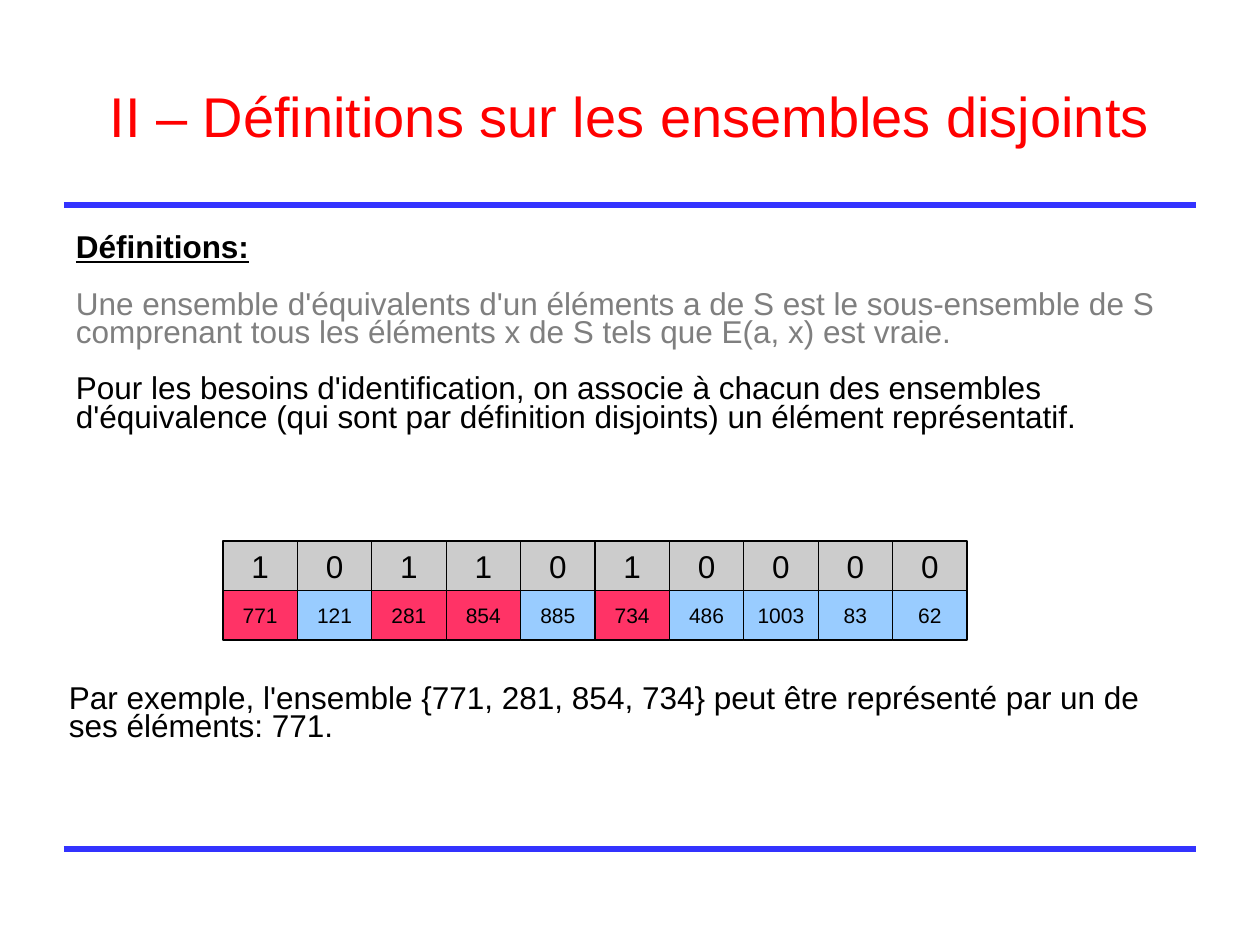
from typing import NamedTuple

from lxml import etree
from pptx import Presentation
from pptx import util as u
from pptx.dml.color import RGBColor
from pptx.enum import shapes, text
from pptx.oxml import ns

SCALE = 914400 / 126  # EMU per px
FONT = "Arial"

BLACK = RGBColor(0x00, 0x00, 0x00)
GREY = RGBColor(0x7F, 0x7F, 0x7F)
RED = RGBColor(0xFF, 0x00, 0x00)
RULE_BLUE = RGBColor(0x33, 0x33, 0xFF)
FLAG_GREY = RGBColor(0xCC, 0xCC, 0xCC)
MEMBER_PINK = RGBColor(0xFF, 0x33, 0x66)
OTHER_BLUE = RGBColor(0x99, 0xCC, 0xFF)


class Box(NamedTuple):
    left: int
    top: int
    width: int
    height: int


class Insets(NamedTuple):
    left: int
    top: int
    right: int
    bottom: int


class Passage(NamedTuple):
    wording: str
    color: RGBColor = BLACK
    heading: bool = False


class Element(NamedTuple):
    flag: int
    value: int


TITLE_BOX = Box(63, 38, 1134, 157)
DEFINITION_BOX = Box(63, 220, 1134, 306)
EXAMPLE_BOX = Box(69, 677, 1121, 166)
GRID = Box(223, 541, 744, 99)
CELL_INSETS = Insets(13, 6, 13, 6)
RULE_LEFT, RULE_RIGHT = 64, 1196
RULE_TOPS = (849, 205)

DEFINITIONS = [
    Passage("Définitions:", heading=True),
    Passage("Une ensemble d'équivalents d'un éléments a de S est le sous-ensemble de S "
            "comprenant tous les éléments x de S tels que E(a, x) est vraie.", GREY),
    Passage("Pour les besoins d'identification, on associe à chacun des ensembles "
            "d'équivalence (qui sont par définition disjoints) un élément représentatif."),
]
EXAMPLE = [
    Passage("Par exemple, l'ensemble {771, 281, 854, 734} peut être représenté par un de "
            "ses éléments: 771."),
]
ELEMENTS = [
    Element(1, 771), Element(0, 121), Element(1, 281), Element(1, 854), Element(0, 885),
    Element(1, 734), Element(0, 486), Element(0, 1003), Element(0, 83), Element(0, 62),
]


def px(length: float) -> u.Emu:
    return u.Emu(round(length * SCALE))


def place(shape, box: Box) -> None:
    shape.left, shape.top, shape.width, shape.height = map(px, box)


def set_frame(frame, insets: Insets, anchor, wrap: bool = True) -> None:
    frame.auto_size = text.MSO_AUTO_SIZE.NONE
    frame.word_wrap = wrap
    frame.vertical_anchor = anchor
    frame.margin_left, frame.margin_top, frame.margin_right, frame.margin_bottom = map(px, insets)


def add_run(paragraph, wording: str, size: int, color: RGBColor):
    run = paragraph.add_run()
    run.text = wording
    run.font.name = FONT
    run.font.size = u.Pt(size)
    run.font.color.rgb = color
    return run


def add_rule(slide, top: int) -> None:
    rule = slide.shapes.add_connector(
        shapes.MSO_CONNECTOR.STRAIGHT, px(RULE_LEFT), px(top), px(RULE_RIGHT), px(top))
    rule.line.color.rgb = RULE_BLUE
    rule.line.width = u.Pt(3)
    etree.SubElement(rule._element.spPr, ns.qn("a:effectLst"))


def set_title(slide, wording: str) -> None:
    title = slide.shapes.title
    place(title, TITLE_BOX)
    set_frame(title.text_frame, Insets(13, 10, 13, 6), text.MSO_ANCHOR.MIDDLE)
    paragraph = title.text_frame.paragraphs[0]
    paragraph.alignment = text.PP_ALIGN.CENTER
    paragraph.line_spacing = 0.93
    add_run(paragraph, wording, 32, RED)


def add_passages(slide, box: Box, insets: Insets, passages: list[Passage]) -> None:
    frame = slide.shapes.add_textbox(*map(px, box)).text_frame
    set_frame(frame, insets, text.MSO_ANCHOR.TOP)
    for index, passage in enumerate(passages):
        paragraph = frame.add_paragraph() if index else frame.paragraphs[0]
        paragraph.line_spacing = 0.75
        paragraph.space_before = u.Pt(16 if index else 0)
        run = add_run(paragraph, passage.wording, 18, passage.color)
        run.font.bold = run.font.underline = passage.heading


def add_cell(slide, box: Box, wording: str, size: int, fill: RGBColor) -> None:
    cell = slide.shapes.add_shape(shapes.MSO_SHAPE.ROUNDED_RECTANGLE, *map(px, box))
    cell.adjustments[0] = 0
    cell.shadow.inherit = False
    cell.fill.solid()
    cell.fill.fore_color.rgb = fill
    cell.line.color.rgb = BLACK
    cell.line.width = u.Pt(0.75)
    set_frame(cell.text_frame, CELL_INSETS, text.MSO_ANCHOR.MIDDLE, wrap=False)
    paragraph = cell.text_frame.paragraphs[0]
    paragraph.alignment = text.PP_ALIGN.CENTER
    add_run(paragraph, wording, size, BLACK)


def add_grid(slide, elements: list[Element]) -> None:
    width, height = GRID.width / len(elements), GRID.height / 2
    for column, element in enumerate(elements):
        flag_box = Box(GRID.left + column * width, GRID.top, width, height)
        value_box = flag_box._replace(top=GRID.top + height)
        value_fill = MEMBER_PINK if element.flag else OTHER_BLUE
        add_cell(slide, value_box, str(element.value), 12, value_fill)
        add_cell(slide, flag_box, str(element.flag), 18, FLAG_GREY)


def main() -> None:
    presentation = Presentation()
    presentation.slide_width, presentation.slide_height = px(1260), px(945)
    slide = presentation.slides.add_slide(presentation.slide_layouts.get_by_name("Title Only"))

    # Title between the top edge and the upper rule
    set_title(slide, "II – Définitions sur les ensembles disjoints")
    for top in RULE_TOPS:
        add_rule(slide, top)

    # Definitions, membership grid and example
    add_passages(slide, DEFINITION_BOX, Insets(13, 16, 13, 6), DEFINITIONS)
    add_grid(slide, ELEMENTS)
    add_passages(slide, EXAMPLE_BOX, Insets(0, 10, 0, 0), EXAMPLE)

    presentation.save("out.pptx")


if __name__ == "__main__":
    main()
